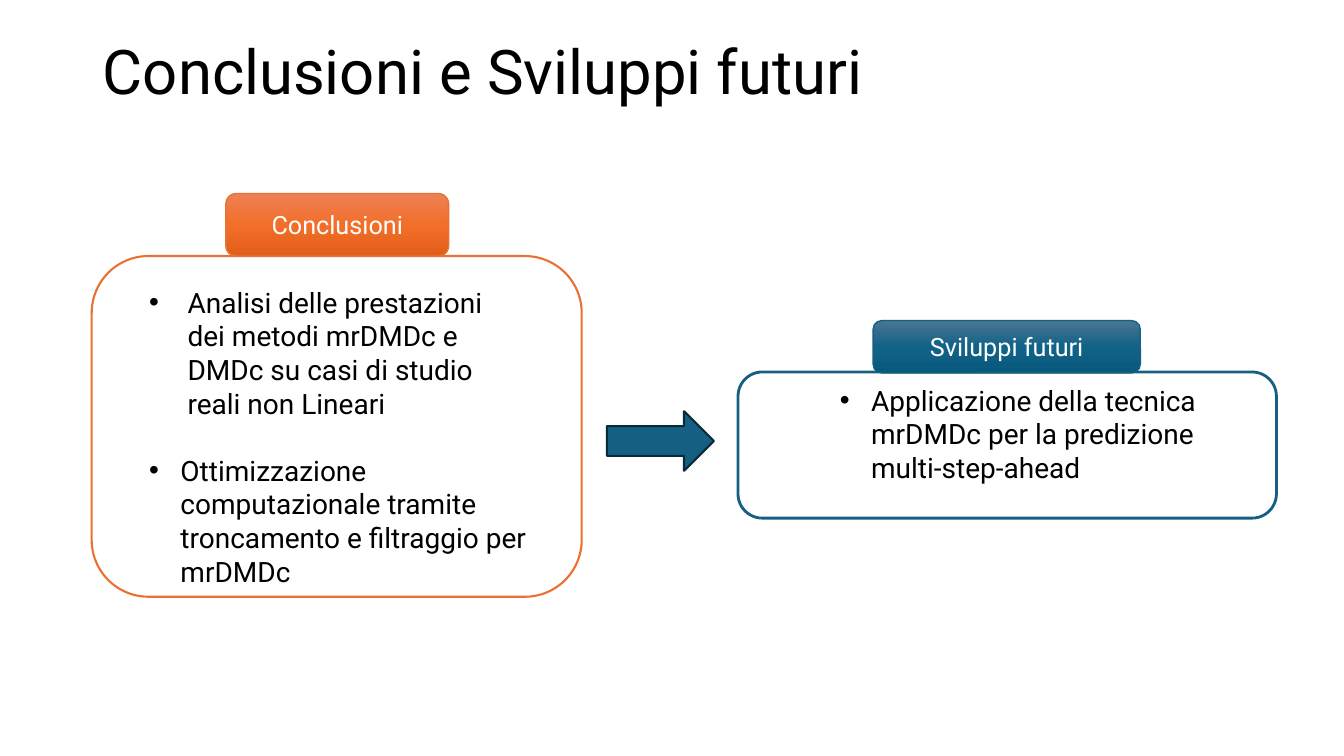
from copy import deepcopy
from pptx import Presentation
from pptx import util as u
from pptx.dml.color import RGBColor
from pptx.enum import shapes, text
from pptx.oxml.ns import qn
from lxml import etree

SCALE = 9144
FONT = "Roboto"
TITLE = ("Conclusioni e Sviluppi futuri", (92, 1, 1150, 145))
PANELS = [
    dict(label="Sviluppi futuri", label_box=(866, 318, 265, 52),
         box=(732, 369, 534, 145), fill=None, line="156082", width=2,
         stops=("4C7591", "106287", "09597D"), list_box=(823, 375, 418, 172),
         items=[("Applicazione della tecnica mrDMDc per la predizione "
                 "multi-step-ahead", 31)]),
    dict(label="Conclusioni", label_box=(224, 192, 221, 62),
         box=(91, 254, 486, 338), fill="FFFFFF", line="E97132", width=1.5,
         stops=("ED8257", "F26E29", "E25F1A"), list_box=(138, 278, 394, 377),
         items=[("Analisi delle prestazioni dei metodi mrDMDc e DMDc su casi "
                 "di studio reali non Lineari", 38),
                ("Ottimizzazione computazionale tramite troncamento e "
                 "filtraggio per mrDMDc", 31)]),
]
ARROW = dict(box=(602, 408, 106, 59), fill="156082", line="092A39", width=1.5)


def px(n):
    return u.Emu(n * SCALE)


def rgb(h):
    return RGBColor.from_string(h)


def place(sp, box):
    sp.left, sp.top, sp.width, sp.height = map(px, box)


def write(p, words, size=20, color="000000", align=text.PP_ALIGN.LEFT,
          before=0, spacing=1.0, indent=None):
    p.alignment, p.line_spacing = align, spacing
    p.space_before = u.Pt(before)
    if indent:
        pr = p._p.get_or_add_pPr()
        pr.set("marL", str(px(indent)))
        pr.set("indent", str(-px(indent)))
        etree.SubElement(pr, qn("a:buFont")).set("typeface", "Arial")
        etree.SubElement(pr, qn("a:buChar")).set("char", "•")
    r = p.add_run()
    r.text = words
    r.font.name, r.font.size = FONT, u.Pt(size)
    r.font.color.rgb = rgb(color)


def add_shape(s, kind, box, line, width, fill=None):
    sp = s.shapes.add_shape(kind, *map(px, box))
    sp.shadow.inherit = False
    if fill:
        sp.fill.solid()
        sp.fill.fore_color.rgb = rgb(fill)
    else:
        sp.fill.background()
    sp.line.color.rgb, sp.line.width = rgb(line), u.Pt(width)
    return sp


def shade(sp, colors):
    sp.fill.gradient()
    sp.fill.gradient_angle = 270
    first = sp.element.spPr.find(".//" + qn("a:gs"))
    first.addnext(deepcopy(first))
    for i, (stop, color) in enumerate(zip(sp.fill.gradient_stops, colors)):
        stop.position, stop.color.rgb = i / 2, rgb(color)


def add_panel(s, panel, body):
    kind = shapes.MSO_SHAPE.ROUNDED_RECTANGLE
    add_shape(s, kind, panel["box"], panel["line"], panel["width"], panel["fill"])
    label = add_shape(s, kind, panel["label_box"], panel["line"], 1)
    shade(label, panel["stops"])
    label.text_frame.vertical_anchor = text.MSO_ANCHOR.MIDDLE
    write(label.text_frame.paragraphs[0], panel["label"], size=18,
          color="FFFFFF", align=text.PP_ALIGN.CENTER)

    place(body, panel["list_box"])
    label.element.addnext(body.element)
    tf = body.text_frame
    tf.auto_size, tf.vertical_anchor = text.MSO_AUTO_SIZE.NONE, text.MSO_ANCHOR.TOP
    for i, (words, indent) in enumerate(panel["items"]):
        p = tf.add_paragraph() if i else tf.paragraphs[0]
        write(p, words, before=24 if i else 0, indent=indent)


def main():
    prs = Presentation()
    prs.slide_width, prs.slide_height = u.Inches(13.33), u.Inches(7.5)
    s = prs.slides.add_slide(prs.slide_layouts[3])
    words, box = TITLE
    title = s.shapes.title
    place(title, box)
    title.text_frame.auto_size = text.MSO_AUTO_SIZE.NONE
    title.text_frame.vertical_anchor = text.MSO_ANCHOR.MIDDLE
    write(title.text_frame.paragraphs[0], words, size=44, spacing=0.9)
    bodies = [s.placeholders[1], s.placeholders[2]]
    for panel, body in zip(PANELS, bodies):
        add_panel(s, panel, body)
    add_shape(s, shapes.MSO_SHAPE.RIGHT_ARROW, **ARROW)
    prs.save("out.pptx")


if __name__ == "__main__":
    main()
